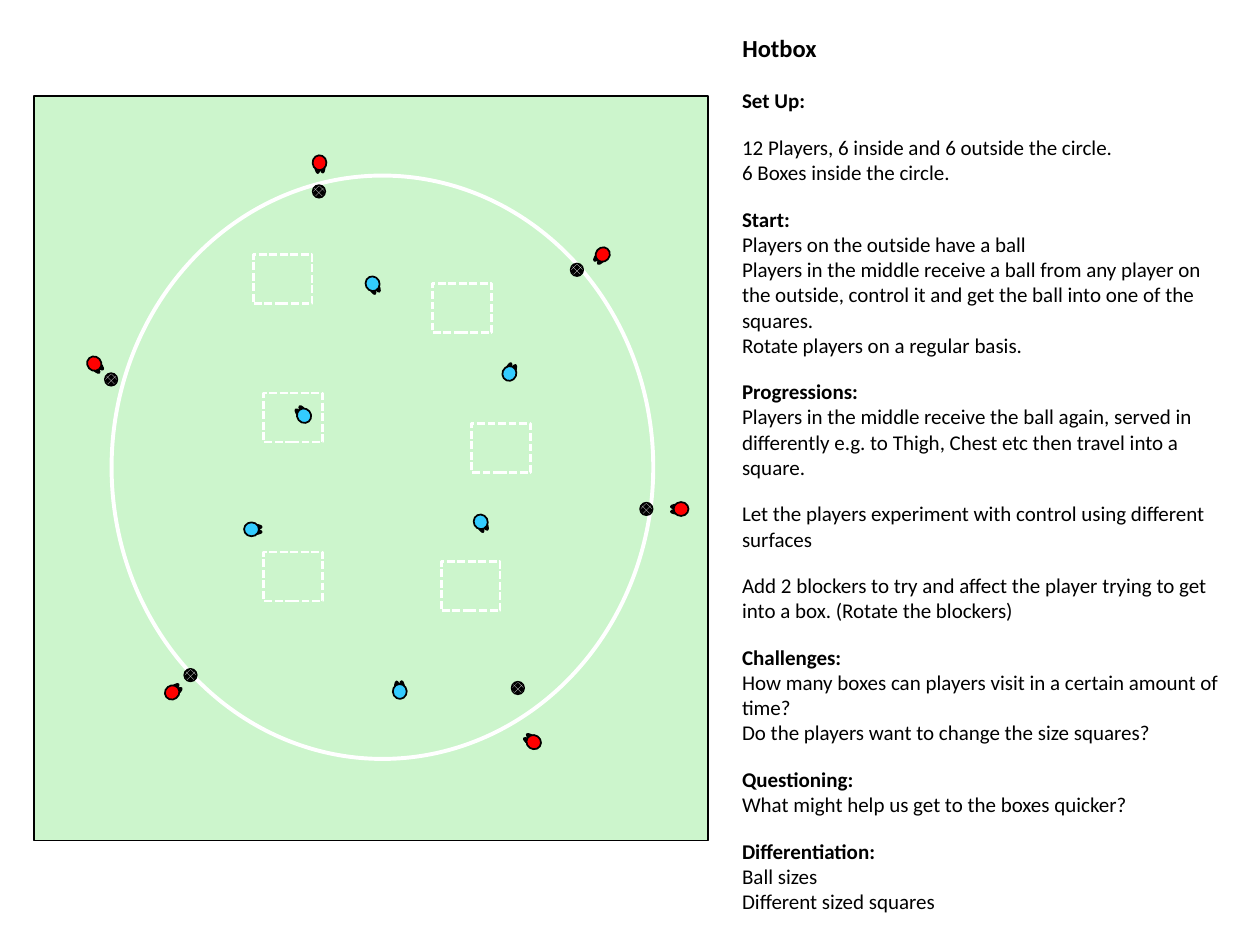
from math import cos, radians, sin
from typing import NamedTuple

from pptx import Presentation
from pptx.dml.color import RGBColor
from pptx.enum.dml import MSO_LINE_DASH_STYLE as Dash, MSO_PATTERN_TYPE as Pattern
from pptx.enum.shapes import MSO_SHAPE as Kind
from pptx.enum.text import MSO_ANCHOR as Anchor, MSO_AUTO_SIZE as Fit, PP_ALIGN as Align
from pptx.util import Cm, Pt

BLACK, WHITE, GREEN = "000000", "FFFFFF", "CCF5CC"
RED, BLUE = "FF0000", "33CCFF"


class Spot(NamedTuple):
    x: float
    y: float


class Player(NamedTuple):
    x: float
    y: float
    turn: int
    color: str


class Line(NamedTuple):
    text: str
    bold: bool = False
    gap: bool = False


PLAYERS = [
    Player(8.06, 13.94, 356, BLUE),
    Player(5.07, 10.67, 91, BLUE),
    Player(7.51, 5.72, 153, BLUE),
    Player(10.27, 7.53, 22, BLUE),
    Player(9.69, 10.52, 153, BLUE),
    Player(6.13, 8.38, 321, BLUE),
    Player(3.47, 13.96, 52, RED),
    Player(6.44, 3.28, 175, RED),
    Player(10.76, 14.96, 305, RED),
    Player(1.9, 7.33, 138, RED),
    Player(12.15, 5.13, 220, RED),
    Player(13.73, 10.26, 269, RED),
]
BALLS = [Spot(6.43, 3.86), Spot(3.84, 13.61), Spot(10.44, 13.87),
         Spot(13.03, 10.26), Spot(2.24, 7.65), Spot(11.63, 5.44)]
BOXES = [Spot(5.7, 5.63), Spot(5.91, 8.42), Spot(9.31, 6.21),
         Spot(10.1, 9.03), Spot(5.91, 11.62), Spot(9.49, 11.82)]
LINES = [
    Line("Set Up:", bold=True),
    Line("12 Players, 6 inside and 6 outside the circle.", gap=True),
    Line("6 Boxes inside the circle."),
    Line("Start:", bold=True, gap=True),
    Line("Players on the outside have a ball"),
    Line("Players in the middle receive a ball from any player on the outside, "
         "control it and get the ball into one of the squares."),
    Line("Rotate players on a regular basis."),
    Line("Progressions:", bold=True, gap=True),
    Line("Players in the middle receive the ball again, served in differently "
         "e.g. to Thigh, Chest etc then travel into a square."),
    Line("Let the players experiment with control using different surfaces", gap=True),
    Line("Add 2 blockers to try and affect the player trying to get into a box. "
         "(Rotate the blockers)", gap=True),
    Line("Challenges:", bold=True, gap=True),
    Line("How many boxes can players visit in a certain amount of time?"),
    Line("Do the players want to change the size squares?"),
    Line("Questioning:", bold=True, gap=True),
    Line("What might help us get to the boxes quicker?"),
    Line("Differentiation:", bold=True, gap=True),
    Line("Ball sizes"),
    Line("Different sized squares"),
]


def paint(target, color: str) -> None:
    target.rgb = RGBColor.from_string(color)


def draw(shapes, kind, x: float, y: float, width: float, height: float,
         fill: str = "", line: str = BLACK, weight: float = 0.75, turn: float = 0):
    shape = shapes.add_shape(kind, Cm(x - width / 2), Cm(y - height / 2),
                             Cm(width), Cm(height))
    shape.shadow.inherit = False
    shape.rotation = turn
    if fill:
        shape.fill.solid()
        paint(shape.fill.fore_color, fill)
    else:
        shape.fill.background()
    paint(shape.line.color, line)
    shape.line.width = Pt(weight)
    return shape


def draw_ball(shapes, spot: Spot) -> None:
    ball = draw(shapes, Kind.OVAL, *spot, 0.26, 0.26, turn=90)
    ball.fill.patterned()
    ball.fill.pattern = Pattern.SOLID_DIAMOND
    paint(ball.fill.fore_color, WHITE)
    paint(ball.fill.back_color, BLACK)


def draw_box(shapes, spot: Spot) -> None:
    box = draw(shapes, Kind.RECTANGLE, *spot, 1.19, 0.99, line=WHITE, weight=1.5)
    box.line.dash_style = Dash.SQUARE_DOT


def draw_player(shapes, player: Player) -> None:
    group = shapes.add_group_shape().shapes
    x, y, turn, color = player
    c, s = cos(radians(turn)), sin(radians(turn))
    lift = 0.06
    for side in (-0.05, 0.05):
        draw(group, Kind.OVAL, x + side * c + lift * s, y + side * s - lift * c,
             0.1, 0.3, BLACK, turn=turn)
    draw(group, Kind.OVAL, x, y, 0.28, 0.3, color, weight=1, turn=turn)


def style(para, size: float, bold: bool) -> None:
    para.alignment = Align.LEFT
    for run in para.runs:
        run.font.name = "Calibri"
        run.font.size = Pt(size)
        run.font.bold = bold
        paint(run.font.color, BLACK)


def set_frame(frame) -> None:
    frame.word_wrap = True
    frame.auto_size = Fit.NONE
    frame.vertical_anchor = Anchor.TOP


def write_title(title, text: str) -> None:
    title.left, title.top = Cm(14.71), Cm(0.53)
    title.width, title.height = Cm(10.39), Cm(0.9)
    set_frame(title.text_frame)
    title.text_frame.text = text
    style(title.text_frame.paragraphs[0], 14, True)


def write_notes(shapes, lines: list[Line]) -> None:
    box = shapes.add_textbox(Cm(14.71), Cm(1.65), Cm(10.39), Cm(17))
    frame = box.text_frame
    set_frame(frame)
    for i, line in enumerate(lines):
        para = frame.add_paragraph() if i else frame.paragraphs[0]
        para.text = line.text
        if line.gap:
            para.space_before = Pt(12.2)
        style(para, 12, line.bold)


def main() -> None:
    deck = Presentation()
    deck.slide_width, deck.slide_height = Cm(25.4), Cm(19.05)
    slide = deck.slides.add_slide(deck.slide_layouts[5])
    shapes = slide.shapes
    write_title(shapes.title, "Hotbox")
    draw(shapes, Kind.RECTANGLE, 7.48, 9.44, 13.59, 15.01, GREEN)
    draw(shapes, Kind.OVAL, 7.71, 9.42, 10.92, 11.76, line=WHITE, weight=2.25)
    for box in BOXES:
        draw_box(shapes, box)
    for ball in BALLS:
        draw_ball(shapes, ball)
    for player in PLAYERS:
        draw_player(shapes, player)
    write_notes(shapes, LINES)
    deck.save("out.pptx")


if __name__ == "__main__":
    main()
